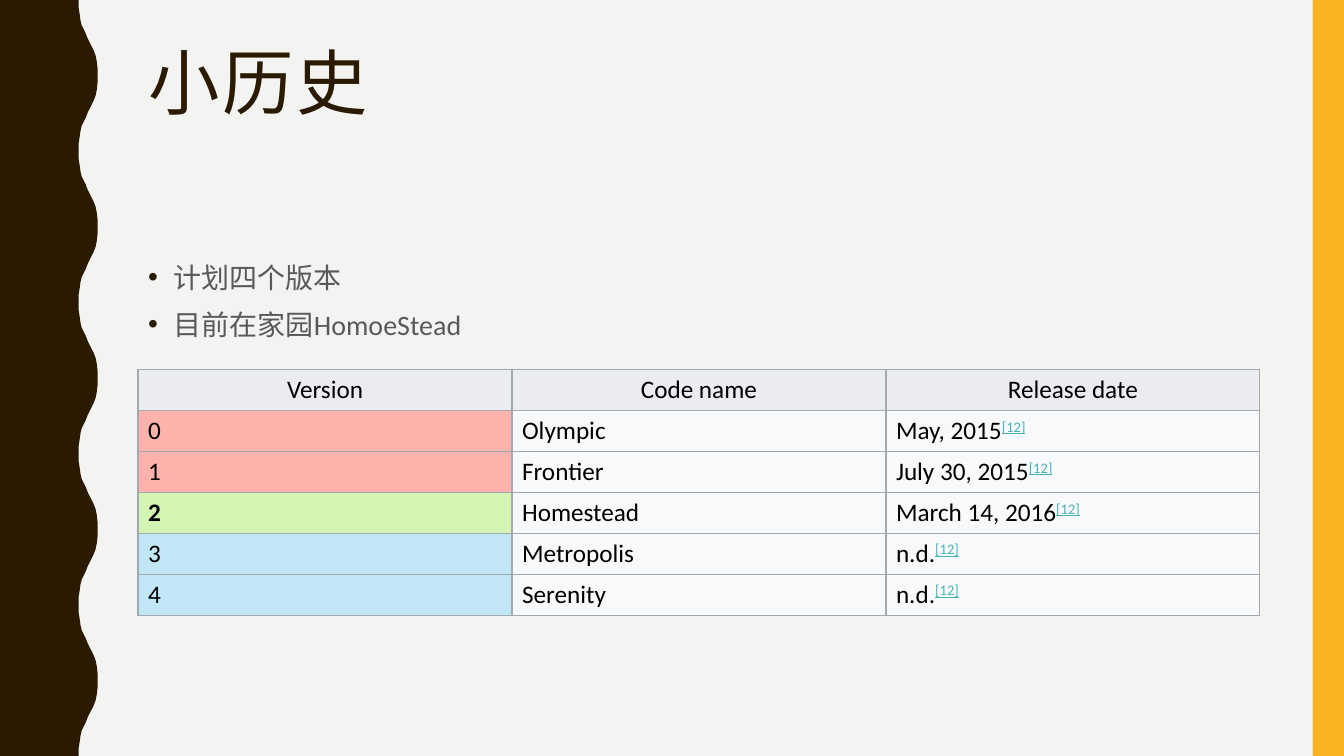
"""Build the version history slide with a wavy left edge, two bullets and a table."""
import lxml.etree
import pptx
import pptx.dml.color
import pptx.enum.shapes
import pptx.enum.text
import pptx.oxml
import pptx.oxml.ns
import pptx.util

Cm = pptx.util.Cm
Pt = pptx.util.Pt
qn = pptx.oxml.ns.qn
ANCHOR = pptx.enum.text.MSO_ANCHOR
ALIGN = pptx.enum.text.PP_ALIGN


def color(value):
    return pptx.dml.color.RGBColor.from_string(value)


def add_run(paragraph, text, fill, **formats):
    run = paragraph.add_run()
    run.text = text
    run.font.color.rgb = color(fill)
    for name, value in formats.items():
        setattr(run.font, name, value)
    return run


DARK = "2A1A00"
LEFT, WIDTH = Cm(3.48), Cm(28.27)

presentation = pptx.Presentation()
presentation.slide_width, presentation.slide_height = Cm(33.87), Cm(19.05)
slide = presentation.slides.add_slide(presentation.slide_layouts[1])
slide.background.fill.solid()
slide.background.fill.fore_color.rgb = color("F3F3F1")

half_wave = [(1.98, 0), (1.98, 0.18), (2.01, 0.36), (2.03, 0.51), (2.06, 0.64),
             (2.11, 0.74), (2.16, 0.84), (2.21, 0.97), (2.26, 1.07), (2.31, 1.17),
             (2.36, 1.27), (2.41, 1.4), (2.44, 1.55), (2.46, 1.73), (2.46, 1.91)]
period = 3.81
wave = half_wave + [(x, period - y) for x, y in reversed(half_wave[:-1])]
edge = [(Cm(x), Cm(y + period * turn)) for turn in range(5) for x, y in wave]
builder = slide.shapes.build_freeform(0, 0)
builder.add_line_segments(edge + [(0, Cm(19.05))], close=True)
wavy_edge = builder.convert_to_shape()
right_bar = slide.shapes.add_shape(
    pptx.enum.shapes.MSO_SHAPE.RECTANGLE, Cm(33.08), 0, Cm(0.79), Cm(19.05))
for shape, fill in ((wavy_edge, DARK), (right_bar, "F8B323")):
    shape.shadow.inherit = False
    shape.fill.solid()
    shape.fill.fore_color.rgb = color(fill)
    shape.line.fill.background()

title = slide.shapes.title
body = slide.placeholders[1]
for placeholder, top, height in ((title, 1.07, 4.14), (body, 6.35, 9.98)):
    placeholder.left, placeholder.top = LEFT, Cm(top)
    placeholder.width, placeholder.height = WIDTH, Cm(height)
    frame_formats = {"vertical_anchor": ANCHOR.TOP, "word_wrap": True,
                     "auto_size": pptx.enum.text.MSO_AUTO_SIZE.NONE}
    for name, value in frame_formats.items():
        setattr(placeholder.text_frame, name, value)

heading = title.text_frame.paragraphs[0]
heading.alignment, heading.line_spacing = ALIGN.LEFT, 0.9
heading_run = add_run(heading, "小历史", DARK, name="Arial Narrow", size=Pt(51))
heading_run.font._element.set("spc", "200")

for index, text in enumerate(("计划四个版本", "目前在家园HomoeStead")):
    frame = body.text_frame
    paragraph = frame.add_paragraph() if index else frame.paragraphs[0]
    paragraph.line_spacing, paragraph.space_before = 1.1, Pt(7)
    properties = paragraph._p.get_or_add_pPr()
    properties.set("marL", str(Cm(0.64)))
    properties.set("indent", str(-Cm(0.64)))
    bullet_color = lxml.etree.SubElement(properties, qn("a:buClr"))
    lxml.etree.SubElement(bullet_color, qn("a:srgbClr"), val=DARK)
    lxml.etree.SubElement(properties, qn("a:buFont"), typeface="Arial")
    lxml.etree.SubElement(properties, qn("a:buChar"), char="•")
    add_run(paragraph, text, "595959", name="Calibri", size=Pt(20))

rows = [("Version", "Code name", "Release date"),
        ("0", "Olympic", "May, 2015"),
        ("1", "Frontier", "July 30, 2015"),
        ("2", "Homestead", "March 14, 2016"),
        ("3", "Metropolis", "n.d."),
        ("4", "Serenity", "n.d.")]
version_fills = ["EAECF0", "FDB3AB", "FDB3AB", "D4F4B4", "C1E6F5", "C1E6F5"]
row_height = Cm(1.03)
table = slide.shapes.add_table(
    len(rows), 3, LEFT, Cm(9.32), WIDTH, row_height * len(rows)).table
table.first_row = table.horz_banding = False
for row in table.rows:
    row.height = row_height

for row_index, texts in enumerate(rows):
    for column_index, text in enumerate(texts):
        cell = table.cell(row_index, column_index)
        cell.vertical_anchor = ANCHOR.MIDDLE
        cell.fill.solid()
        tinted = row_index == 0 or column_index == 0
        cell.fill.fore_color.rgb = color(version_fills[row_index] if tinted else "F8F9FA")
        for position, side in enumerate(("lnL", "lnR", "lnT", "lnB")):
            border = pptx.oxml.parse_xml(
                f'<a:{side} {pptx.oxml.ns.nsdecls("a")} w="12700"><a:solidFill>'
                f'<a:srgbClr val="A2A9B1"/></a:solidFill></a:{side}>')
            cell._tc.get_or_add_tcPr().insert(position, border)
        paragraph = cell.text_frame.paragraphs[0]
        paragraph.alignment = ALIGN.LEFT if row_index else ALIGN.CENTER
        add_run(paragraph, text, "000000", name="Calibri", size=Pt(18), bold=text == "2")
        if row_index and column_index == 2:
            reference = add_run(paragraph, "[12]", "46B2B5", name="Calibri",
                                size=Pt(18), underline=True)
            reference.font._element.set("baseline", "30000")

presentation.save("out.pptx")
